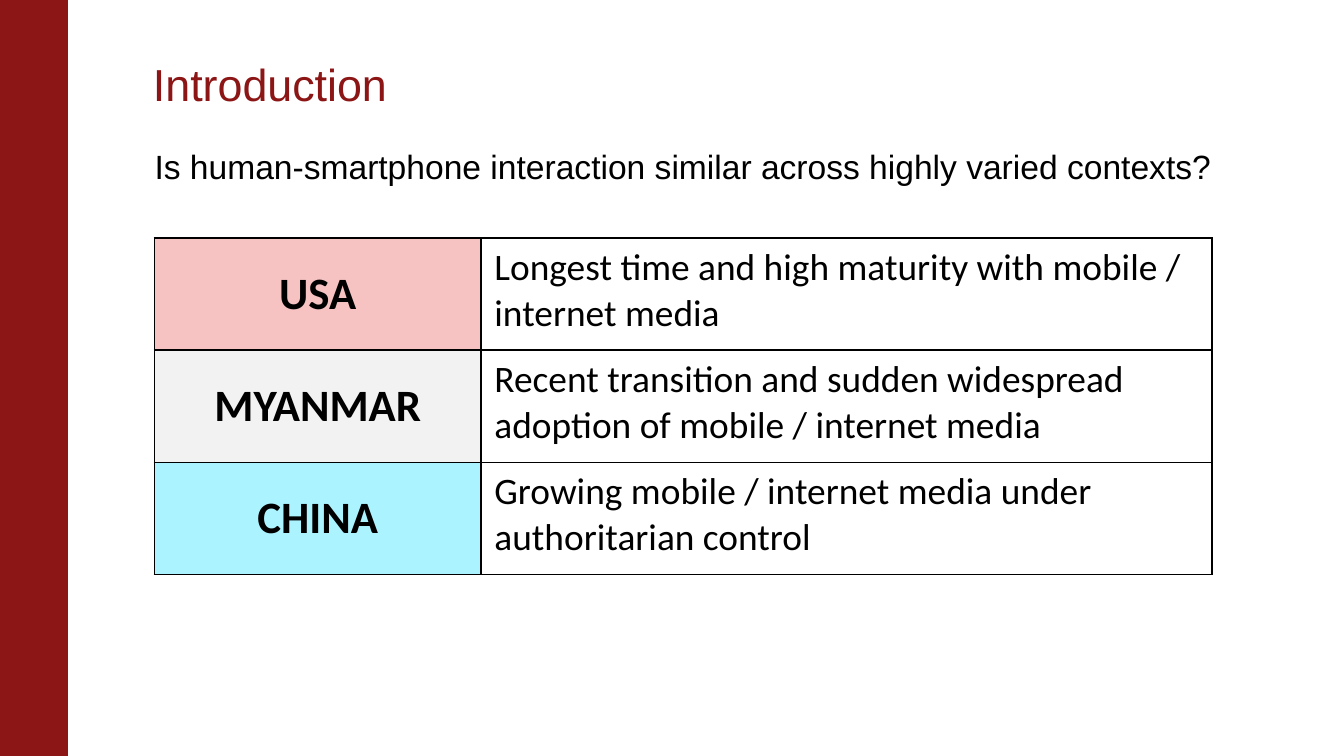
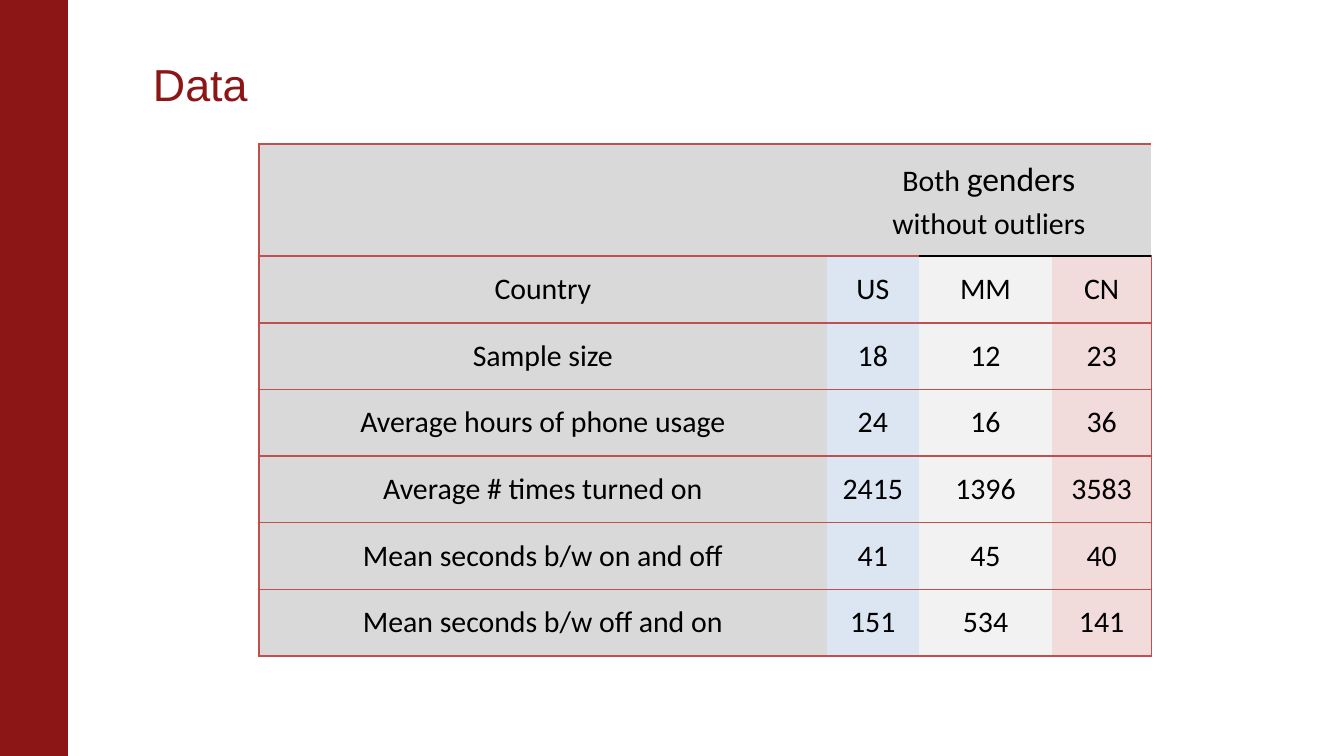
from lxml import etree
from pptx import Presentation
from pptx.dml.color import RGBColor
from pptx.enum.shapes import MSO_SHAPE
from pptx.enum.text import MSO_ANCHOR, MSO_AUTO_SIZE, PP_ALIGN
from pptx.oxml.ns import qn
from pptx.util import Cm, Pt

RECTANGLE = MSO_SHAPE.RECTANGLE
LEFT, CENTER = PP_ALIGN.LEFT, PP_ALIGN.CENTER
TOP, MIDDLE, BOTTOM = MSO_ANCHOR.TOP, MSO_ANCHOR.MIDDLE, MSO_ANCHOR.BOTTOM
NO_AUTO_SIZE = MSO_AUTO_SIZE.NONE

CARDINAL = "8C1515"
BLACK = "000000"
BORDER_RED = "C0504D"
GRAY = "D9D9D9"
LIGHT_GRAY = "F2F2F2"
HEADING_FONT, TABLE_FONT = "Arial", "Calibri"
SLIDE_WIDTH, SLIDE_HEIGHT = Cm(25.4), Cm(14.29)
TITLE_AND_CONTENT, TITLE_ONLY = 1, 5
PLAIN_TABLE_STYLE = "{2D5ABB26-0587-4C30-8999-92F81FD0307C}"

CONTEXTS = [
    ("USA", "F6C2C2", "Longest time and high maturity with mobile / internet media"),
    ("MYANMAR", LIGHT_GRAY, "Recent transition and sudden widespread adoption of mobile / internet media"),
    ("CHINA", "ABF4FF", "Growing mobile / internet media under authoritarian control"),
]
COLUMN_FILLS = [GRAY, "DCE6F2", LIGHT_GRAY, "F2DCDB"]
MEASURES = [
    ("Country", "US", "MM", "CN"),
    ("Sample size", "18", "12", "23"),
    ("Average hours of phone usage", "24", "16", "36"),
    ("Average # times turned on", "2415", "1396", "3583"),
    ("Mean seconds b/w on and off", "41", "45", "40"),
    ("Mean seconds b/w off and on", "151", "534", "141"),
]


def color(value):
    return RGBColor.from_string(value)


def write_text(paragraph, text, size=16, font=TABLE_FONT, fill=BLACK, bold=False,
               align=LEFT, line_spacing=1.0, space_before=0):
    paragraph.alignment = align
    paragraph.line_spacing = line_spacing
    paragraph.space_before = Pt(space_before)
    run = paragraph.add_run()
    run.text = text
    run.font.size = Pt(size)
    run.font.name = font
    run.font.bold = bold
    run.font.color.rgb = color(fill)


def place(placeholder, left, top, width, height, anchor):
    placeholder.left, placeholder.top = Cm(left), Cm(top)
    placeholder.width, placeholder.height = Cm(width), Cm(height)
    frame = placeholder.text_frame
    frame.auto_size = NO_AUTO_SIZE
    frame.word_wrap = True
    frame.vertical_anchor = anchor
    set_margins(frame, 0.25)
    return frame.paragraphs[0]


def set_margins(target, margin):
    target.margin_left = target.margin_right = Cm(margin)
    target.margin_top = target.margin_bottom = Cm(margin)


def add_titled_slide(presentation, layout, title):
    slide = presentation.slides.add_slide(presentation.slide_layouts[layout])
    band = slide.shapes.add_shape(RECTANGLE, 0, 0, Cm(1.27), SLIDE_HEIGHT)
    band.shadow.inherit = False
    band.fill.solid()
    band.fill.fore_color.rgb = color(CARDINAL)
    band.line.color.rgb = color(CARDINAL)
    band.line.width = Pt(0.75)
    paragraph = place(slide.shapes.title, 2.64, 0.99, 21.41, 1.35, BOTTOM)
    write_text(paragraph, title, size=24, font=HEADING_FONT, fill=CARDINAL, line_spacing=0.85)
    return slide


def remove_bullet(paragraph):
    properties = paragraph._p.get_or_add_pPr()
    properties.set("marL", "0")
    properties.set("indent", "0")
    etree.SubElement(properties, qn("a:buNone"))


def add_plain_table(slide, left, top, widths, heights):
    frame = slide.shapes.add_table(len(heights), len(widths), Cm(left), Cm(top),
                                   Cm(sum(widths)), Cm(sum(heights)))
    table = frame.table
    table.first_row = table.horz_banding = False
    table._tbl.tblPr.find(qn("a:tableStyleId")).text = PLAIN_TABLE_STYLE
    for column, width in zip(table.columns, widths):
        column.width = Cm(width)
    for row, height in zip(table.rows, heights):
        row.height = Cm(height)
    return table


def format_cell(cell, fill=None, left=None, right=None, top=None, bottom=None, anchor=TOP):
    properties = cell._tc.get_or_add_tcPr()
    for side, line_color in zip("LRTB", (left, right, top, bottom)):
        if line_color:
            line = etree.SubElement(properties, qn(f"a:ln{side}"), w=str(Pt(1)))
            solid = etree.SubElement(line, qn("a:solidFill"))
            etree.SubElement(solid, qn("a:srgbClr"), val=line_color)
    if fill:
        cell.fill.solid()
        cell.fill.fore_color.rgb = color(fill)
    else:
        cell.fill.background()
    cell.vertical_anchor = anchor


def add_context_table(slide):
    table = add_plain_table(slide, 2.92, 4.5, [6.17, 13.82], [2.12] * len(CONTEXTS))
    grid = dict.fromkeys(("left", "right", "top", "bottom"), BLACK)
    for row, (country, fill, description) in enumerate(CONTEXTS):
        name_cell, description_cell = table.cell(row, 0), table.cell(row, 1)
        format_cell(name_cell, fill, anchor=MIDDLE, **grid)
        format_cell(description_cell, **grid)
        write_text(name_cell.text_frame.paragraphs[0], country, size=24, bold=True, align=CENTER)
        write_text(description_cell.text_frame.paragraphs[0], description, size=20)


def add_measure_table(slide):
    table = add_plain_table(slide, 4.9, 2.72, [10.72, 1.75, 2.51, 1.88],
                            [2.12] + [1.26] * len(MEASURES))
    last_column = len(COLUMN_FILLS) - 1
    text_format = {"align": CENTER, "line_spacing": 1.15}
    for row in range(len(MEASURES) + 1):
        for column, column_fill in enumerate(COLUMN_FILLS):
            cell = table.cell(row, column)
            header_rule = BLACK if column >= 2 else BORDER_RED
            format_cell(cell, GRAY if row == 0 else column_fill,
                        left=BORDER_RED if column == 0 else None,
                        right=BORDER_RED if column == last_column else None,
                        top=header_rule if row == 1 else BORDER_RED,
                        bottom=header_rule if row == 0 else BORDER_RED)
            set_margins(cell, 0.18)
            if row > 0:
                write_text(cell.text_frame.paragraphs[0], MEASURES[row - 1][column], **text_format)
    header = table.cell(0, 1)
    header.merge(table.cell(0, last_column))
    paragraph = header.text_frame.paragraphs[0]
    write_text(paragraph, "Both ", **text_format)
    write_text(paragraph, "genders", size=18, **text_format)
    paragraph.add_line_break()
    write_text(paragraph, "without outliers", **text_format)


def main():
    presentation = Presentation()
    presentation.slide_width, presentation.slide_height = SLIDE_WIDTH, SLIDE_HEIGHT

    introduction = add_titled_slide(presentation, TITLE_AND_CONTENT, "Introduction")
    question = place(introduction.placeholders[1], 2.67, 2.51, 21.39, 8.56, TOP)
    write_text(question, "Is human-smartphone interaction similar across highly varied contexts?",
               size=18, font=HEADING_FONT, space_before=3.6)
    remove_bullet(question)
    add_context_table(introduction)

    data = add_titled_slide(presentation, TITLE_ONLY, "Data")
    add_measure_table(data)

    presentation.save("out.pptx")


if __name__ == "__main__":
    main()
